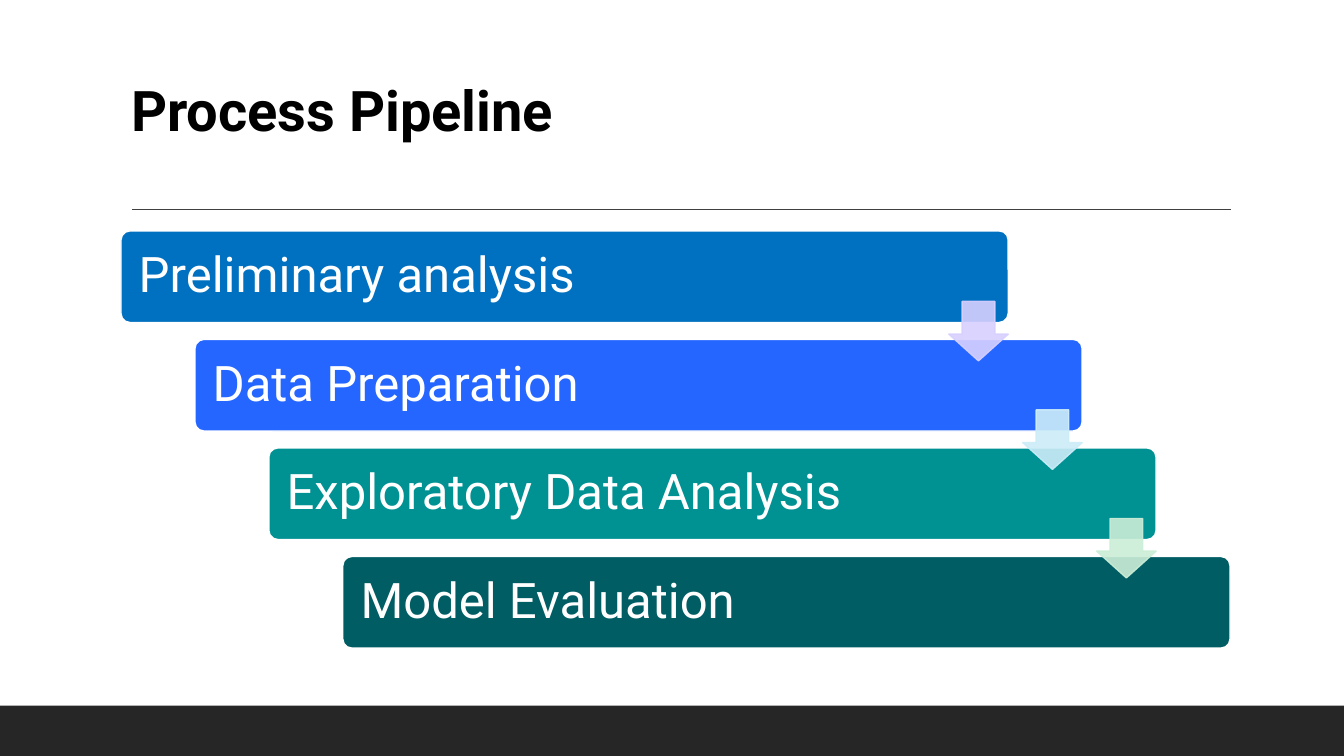
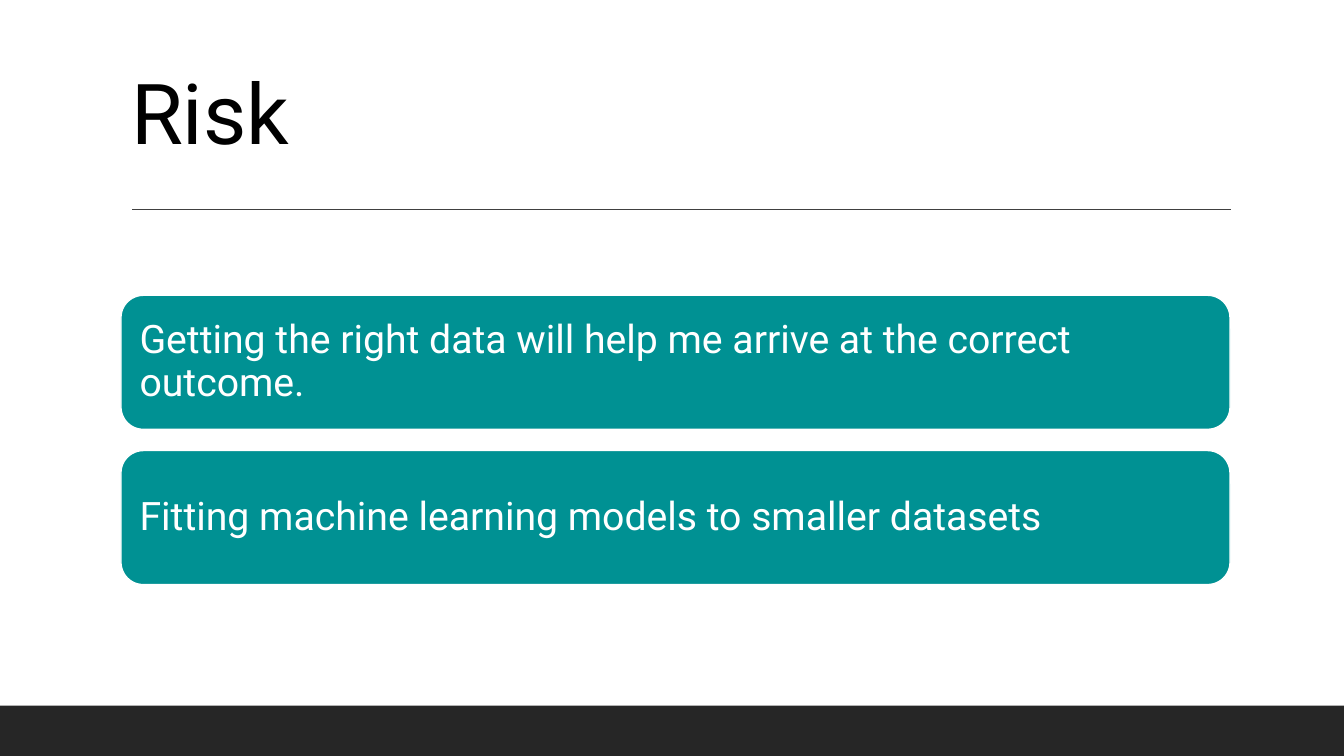
from collections import namedtuple

from lxml import etree
from pptx import Presentation
from pptx import util as u
from pptx.dml import color
from pptx.enum import shapes, text
from pptx.oxml import ns

Box = namedtuple("Box", "left top width height")

FONT = "Roboto"
BLACK, WHITE, TEAL = "000000", "FFFFFF", "009193"
RULE, BAND = "404040", "262626"
SLIDE = Box(0, 0, 13.33, 7.5)
CONTENT_LEFT, CONTENT_WIDTH = 1.2, 11
STEPS = [
    ("Preliminary analysis", "0070C0", "D7D0FF"),
    ("Data Preparation", "2466FF", "CCEDF8"),
    ("Exploratory Data Analysis", TEAL, "CBEED7"),
    ("Model Evaluation", "005D64", None),
]
RISKS = [
    "Getting the right data will help me arrive at the correct outcome.",
    "Fitting machine learning models to smaller datasets",
]


def rgb(value):
    """Turn a hex string into a colour."""
    return color.RGBColor.from_string(value)


def apply(target, **formats):
    """Set each named format on the target."""
    for name, value in formats.items():
        setattr(target, name, value)


def place(box):
    """Give the four lengths of a box in inches."""
    return [u.Inches(length) for length in box]


def write(frame, words, size, ink, bold=False, spacing=1.0):
    """Write one left-aligned paragraph, centred vertically."""
    apply(frame, word_wrap=True, auto_size=text.MSO_AUTO_SIZE.NONE,
          vertical_anchor=text.MSO_ANCHOR.MIDDLE)
    para = frame.paragraphs[0]
    apply(para, alignment=text.PP_ALIGN.LEFT, line_spacing=spacing)
    span = para.add_run()
    span.text = words
    apply(span.font, name=FONT, size=u.Pt(size), bold=bold)
    span.font.color.rgb = rgb(ink)


def add_block(page, kind, box, fill, outline=None, adjust=()):
    """Add a flat preset shape with an optional outline."""
    block = page.shapes.add_shape(kind, *place(box))
    block.shadow.inherit = False
    for index, value in enumerate(adjust):
        block.adjustments[index] = value
    block.fill.solid()
    block.fill.fore_color.rgb = rgb(fill)
    if outline:
        block.line.color.rgb = rgb(outline)
        block.line.width = u.Pt(1)
    else:
        block.line.fill.background()
    return block


def add_card(page, box, words, fill, size, inset, adjust=()):
    """Add a rounded card holding white text."""
    card = add_block(page, shapes.MSO_SHAPE.ROUNDED_RECTANGLE, box, fill,
                     WHITE, adjust)
    margin = u.Inches(inset)
    apply(card.text_frame, margin_left=margin, margin_right=margin,
          margin_top=margin, margin_bottom=margin)
    write(card.text_frame, words, size, WHITE, spacing=0.9)


def add_arrow(page, box, fill):
    """Add a slightly transparent down arrow."""
    arrow = add_block(page, shapes.MSO_SHAPE.DOWN_ARROW, box, fill, fill,
                      (0.55, 0.45))
    for tint in arrow.element.spPr.iter(ns.qn("a:srgbClr")):
        etree.SubElement(tint, ns.qn("a:alpha"), val="90000")


def add_page(deck, heading, size, height, bold=False):
    """Start a slide with its title, rule and bottom band."""
    page = deck.slides.add_slide(deck.slide_layouts[5])
    title = page.shapes.title
    left, top, width, tall = place(Box(CONTENT_LEFT, 0.31, CONTENT_WIDTH, height))
    apply(title, left=left, top=top, width=width, height=tall)
    write(title.text_frame, heading, size, BLACK, bold)
    rule = page.shapes.add_connector(
        shapes.MSO_CONNECTOR.STRAIGHT,
        *place((1.31, 2.08, 12.21, 2.08)))
    rule.line.color.rgb = rgb(RULE)
    rule.line.width = u.Pt(1)
    etree.SubElement(rule.element.spPr, ns.qn("a:effectLst"))
    add_block(page, shapes.MSO_SHAPE.RECTANGLE,
              Box(0, 7, SLIDE.width, 0.5), BAND)
    return page


def add_staircase(page, area):
    """Fill the area with stepped bars joined by arrows."""
    width, height, arrow = area.width * 0.8, 0.91, 0.59
    gaps = len(STEPS) - 1
    across = (area.width - width) / gaps
    down = (area.height - height) / gaps
    bars = [Box(area.left + i * across, area.top + i * down, width, height)
            for i in range(len(STEPS))]
    for bar, (words, fill, _) in zip(bars, STEPS):
        add_card(page, bar, words, fill, 35, 0.15, (0.1,))
    for bar, (_, _, tint) in zip(bars[:-1], STEPS):
        add_arrow(page, Box(bar.left + width - arrow, bar.top + 0.7,
                            arrow, arrow), tint)


def add_stack(page, area, gap=0.21):
    """Fill the area with equal cards, one below the other."""
    height = (area.height - gap * (len(RISKS) - 1)) / len(RISKS)
    for i, words in enumerate(RISKS):
        box = Box(area.left, area.top + i * (height + gap), area.width, height)
        add_card(page, box, words, TEAL, 28, 0.12)


def main():
    """Build and save the deck."""
    deck = Presentation()
    apply(deck, slide_width=u.Inches(SLIDE.width),
          slide_height=u.Inches(SLIDE.height))
    pipeline = add_page(deck, "Process Pipeline", 40, 1.54, bold=True)
    add_staircase(pipeline, Box(CONTENT_LEFT, 2.29, CONTENT_WIDTH, 4.14))
    risk = add_page(deck, "Risk", 60, 1.59)
    add_stack(risk, Box(CONTENT_LEFT, 2.93, CONTENT_WIDTH, 2.87))
    deck.save("out.pptx")


if __name__ == "__main__":
    main()
